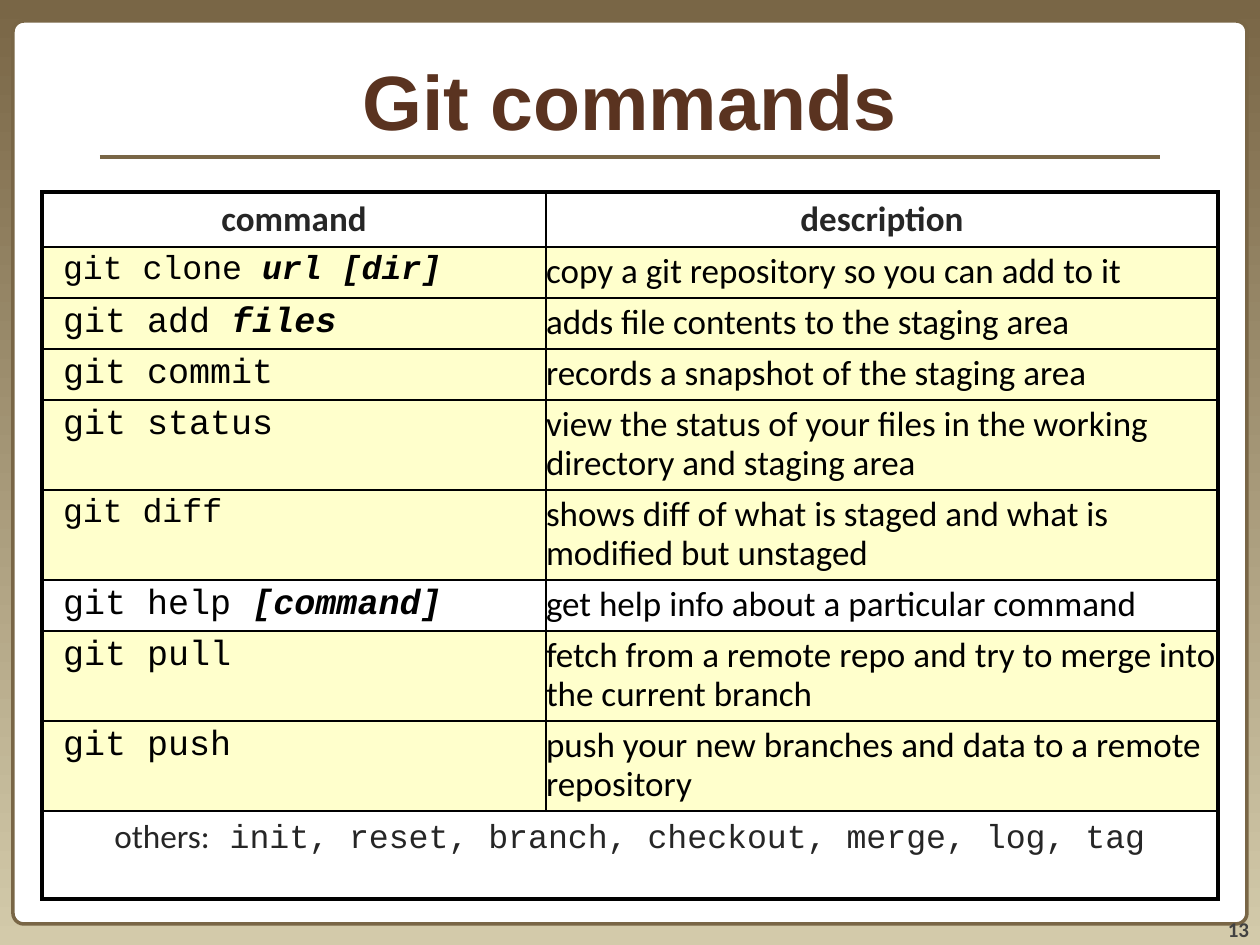
from lxml.etree import SubElement
from pptx import Presentation
from pptx.dml.color import RGBColor
from pptx.enum.shapes import MSO_CONNECTOR, MSO_SHAPE
from pptx.enum.text import MSO_ANCHOR as Anchor, PP_ALIGN as Align
from pptx.oxml import parse_xml
from pptx.oxml.ns import nsdecls, qn
from pptx.util import Emu, Pt

BROWN = RGBColor(0x79, 0x66, 0x46)
SAND = RGBColor(0xD3, 0xCA, 0xAA)
TITLE_BROWN = RGBColor(0x5A, 0x33, 0x20)
WHITE = RGBColor(0xFF, 0xFF, 0xFF)
YELLOW = RGBColor(0xFF, 0xFF, 0xCC)
BLACK = RGBColor(0, 0, 0)
DARK = RGBColor(0x26, 0x26, 0x26)
GREY = RGBColor(0x42, 0x42, 0x42)
BODY, CODE = "Calibri", "Courier New"

TITLE = "Git commands"
PAGE_NUMBER = "13"
HEADINGS = ("command", "description")
# command, argument, code size, description, cell fill, row height
COMMANDS = [
    ("git clone ", "url [dir]", 19, "copy a git repository so you can add to it", YELLOW, 51),
    ("git add ", "files", 20, "adds file contents to the staging area", YELLOW, 51),
    ("git commit", "", 20, "records a snapshot of the staging area", YELLOW, 51),
    ("git status", "", 20, "view the status of your files in the working directory and staging area", YELLOW, 90),
    ("git diff", "", 19, "shows diff of what is staged and what is modified but unstaged", YELLOW, 90),
    ("git help ", "[command]", 20, "get help info about a particular command", None, 51),
    ("git pull", "", 20, "fetch from a remote repo and try to merge into the current branch", YELLOW, 90),
    ("git push", "", 20, "push your new branches and data to a remote repository", YELLOW, 90),
]
OTHERS = ("others:", " init, reset, branch, checkout, merge, log, tag")
HEADER_HEIGHT, OTHERS_HEIGHT = 55, 88
COLUMN_WIDTHS = (504, 672)
CODE_INDENT = 21


def px(n):
    return Emu(round(n * 914400 / 126))


def add_run(paragraph, text, size, font, color, bold=False, italic=False):
    run = paragraph.add_run()
    run.text = text
    run.font.size, run.font.name = Pt(size), font
    run.font.bold, run.font.italic = bold, italic
    run.font.color.rgb = color


def add_text(slide, box, text, size, font, color, align, anchor):
    frame = slide.shapes.add_textbox(*map(px, box)).text_frame
    frame.word_wrap = True
    frame.vertical_anchor = anchor
    frame.margin_left = frame.margin_right = frame.margin_top = frame.margin_bottom = 0
    paragraph = frame.paragraphs[0]
    paragraph.alignment = align
    add_run(paragraph, text, size, font, color, bold=True)


def style_cell(cell, fill, thick_sides):
    """Set margins, fill and borders; thick_sides holds the letters of outer edges."""
    cell.margin_left = cell.margin_right = 0
    cell.margin_top = cell.margin_bottom = px(6)
    properties = cell._tc.get_or_add_tcPr()
    for position, side in enumerate("LRTB"):
        width = Pt(2.25 if side in thick_sides else 1)
        properties.insert(position, parse_xml(
            f'<a:ln{side} {nsdecls("a")} w="{width}"><a:solidFill>'
            f'<a:srgbClr val="{BLACK}"/></a:solidFill></a:ln{side}>'))
    if fill is None:
        cell.fill.background()
    else:
        cell.fill.solid()
        cell.fill.fore_color.rgb = fill


def add_frame(slide):
    background = slide.background.fill
    background.gradient()
    background.gradient_angle = 270
    for stop, color in zip(background.gradient_stops, (BROWN, SAND)):
        stop.color.rgb = color

    panel = slide.shapes.add_shape(MSO_SHAPE.ROUNDED_RECTANGLE, *map(px, (13, 21, 1234, 903)))
    panel.adjustments[0] = 0.012
    panel.shadow.inherit = False
    panel.fill.solid()
    panel.fill.fore_color.rgb = WHITE
    panel.line.color.rgb, panel.line.width = BROWN, Pt(2)

    rule = slide.shapes.add_connector(MSO_CONNECTOR.STRAIGHT, *map(px, (100, 157, 1160, 157)))
    rule.line.color.rgb, rule.line.width = BROWN, Pt(2.25)
    SubElement(rule._element.spPr, qn("a:effectLst"))


def add_commands(slide):
    heights = [HEADER_HEIGHT, *(row[-1] for row in COMMANDS), OTHERS_HEIGHT]
    last = len(heights) - 1
    table = slide.shapes.add_table(
        len(heights), 2, px(42), px(192), px(sum(COLUMN_WIDTHS)), px(sum(heights))).table
    table.first_row = table.horz_banding = False
    for column, width in zip(table.columns, COLUMN_WIDTHS):
        column.width = px(width)
    for row, height in zip(table.rows, heights):
        row.height = px(height)

    fills = [None, *(row[4] for row in COMMANDS), None]
    for r, fill in enumerate(fills):
        for c, outer in enumerate("LR"):
            thick = outer + "T" * (r == 0) + "B" * (r == last)
            style_cell(table.cell(r, c), fill, "LRB" if r == last else thick)

    for c, heading in enumerate(HEADINGS):
        paragraph = table.cell(0, c).text_frame.paragraphs[0]
        paragraph.alignment = Align.CENTER
        add_run(paragraph, heading, 20, BODY, DARK, bold=True)

    for r, (command, argument, size, description, _, _) in enumerate(COMMANDS, 1):
        table.cell(r, 0).margin_left = px(CODE_INDENT)
        code, meaning = (table.cell(r, c).text_frame.paragraphs[0] for c in (0, 1))
        code.line_spacing = meaning.line_spacing = 0.9
        add_run(code, command, size, CODE, BLACK)
        if argument:
            add_run(code, argument, size, CODE, BLACK, bold=True, italic=True)
        add_run(meaning, description, 20, BODY, BLACK)

    others = table.cell(last, 0)
    others.merge(table.cell(last, 1))
    paragraph = others.text_frame.paragraphs[0]
    paragraph.alignment = Align.CENTER
    for text, font in zip(OTHERS, (BODY, CODE)):
        add_run(paragraph, text, 19, font, DARK)


def main():
    deck = Presentation()
    deck.slide_width, deck.slide_height = px(1260), px(945)
    slide = deck.slides.add_slide(deck.slide_layouts[6])
    add_frame(slide)
    add_text(slide, (1144, 892, 105, 50), PAGE_NUMBER, 12, BODY, GREY, Align.RIGHT, Anchor.BOTTOM)
    add_text(slide, (0, 21, 1260, 158), TITLE, 44, "Arial", TITLE_BROWN, Align.CENTER, Anchor.MIDDLE)
    add_commands(slide)
    deck.save("out.pptx")


if __name__ == "__main__":
    main()
